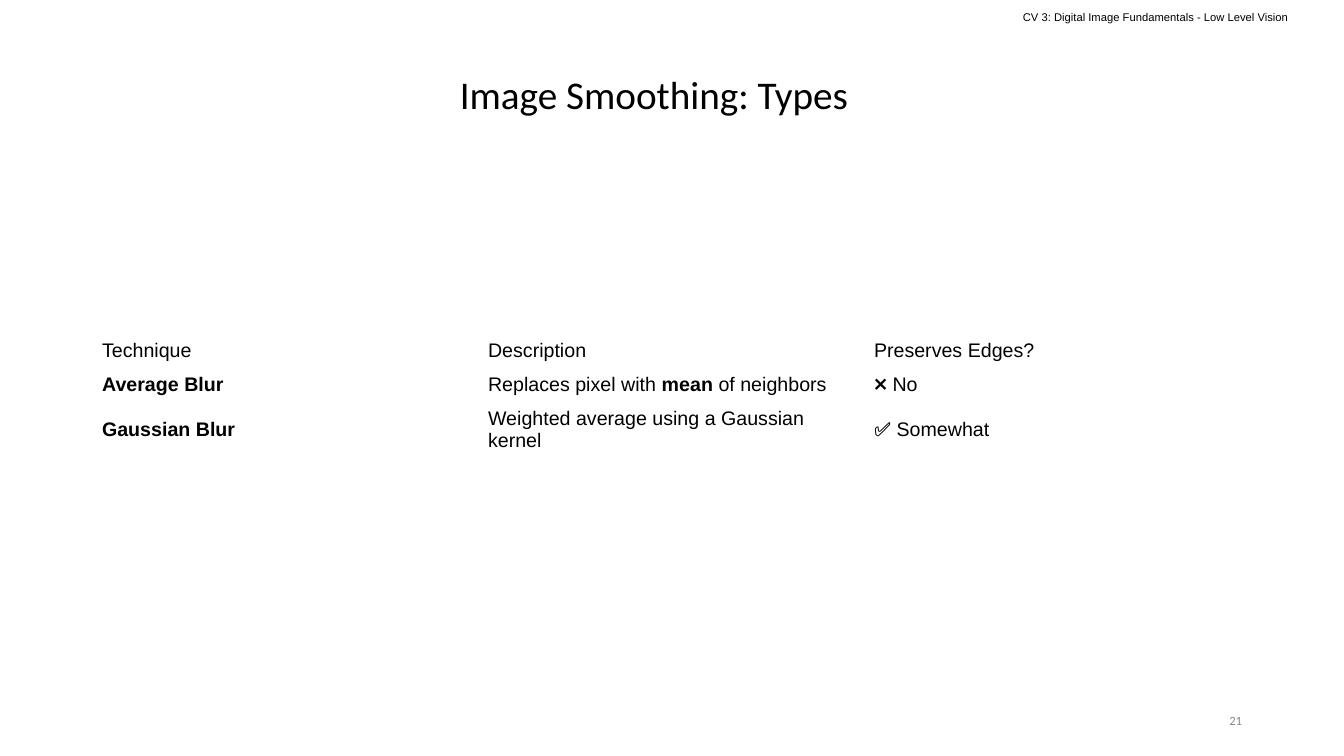
import pptx
import pptx.dml.color
import pptx.enum.text
import pptx.util

ALIGN = pptx.enum.text.PP_ALIGN
MIDDLE = pptx.enum.text.MSO_ANCHOR.MIDDLE
EMU_PER_PX = 914400 / 100.8

ROWS = [
    ["Technique", "Description", "Preserves Edges?"],
    ["**Average Blur**", "Replaces pixel with **mean** of neighbors", "❌ No"],
    ["**Gaussian Blur**", "Weighted average using a Gaussian kernel", "✅ Somewhat"],
    ["", "", ""],
    ["", "", ""],
]
ROW_HEIGHTS = [32, 32, 54, 37, 37]


def px(length):
    return pptx.util.Emu(round(length * EMU_PER_PX))


def colour(value):
    return pptx.dml.color.RGBColor.from_string(value)


class Page:
    heading_font = "Calibri"
    body_font = "Arial"
    ink = "000000"
    grey = "888888"

    def __init__(self, deck):
        self.slide = deck.slides.add_slide(deck.slide_layouts[5])

    def style(self, font, name, size, ink):
        font.name = name
        font.size = pptx.util.Pt(size)
        font.color.rgb = colour(ink)

    def title(self, text, left, top, width, height):
        box = self.slide.shapes.title
        box.left, box.top, box.width, box.height = map(px, (left, top, width, height))
        box.text_frame.text = text
        box.text_frame.vertical_anchor = MIDDLE
        para = box.text_frame.paragraphs[0]
        para.alignment = ALIGN.CENTER
        para.line_spacing = 0.9
        self.style(para.runs[0].font, self.heading_font, 28, self.ink)

    def label(self, text, left, top, width, height, name, size, ink,
              align=ALIGN.LEFT, inset=5):
        box = self.slide.shapes.add_textbox(*map(px, (left, top, width, height)))
        frame = box.text_frame
        frame.word_wrap = True
        frame.margin_top = frame.margin_bottom = px(inset)
        frame.vertical_anchor = MIDDLE
        frame.text = text
        para = frame.paragraphs[0]
        para.alignment = align
        self.style(para.runs[0].font, name, size, ink)

    def fill_cell(self, cell, text):
        """Write the text, setting the parts between ** marks in bold."""
        cell.fill.background()
        cell.vertical_anchor = MIDDLE
        para = cell.text_frame.paragraphs[0]
        self.style(para.font, self.body_font, 14, self.ink)
        for index, part in enumerate(text.split("**")):
            if part:
                span = para.add_run()
                span.text = part
                self.style(span.font, self.body_font, 14, self.ink)
                span.font.bold = index % 2 == 1

    def table(self, rows, heights, left, top, column_width):
        columns = len(rows[0])
        frame = self.slide.shapes.add_table(
            len(rows), columns, px(left), px(top),
            px(column_width * columns), px(sum(heights)))
        table = frame.table
        table.first_row = table.horz_banding = False
        for column in table.columns:
            column.width = px(column_width)
        for row, height, texts in zip(table.rows, heights, rows):
            row.height = px(height)
            for cell, text in zip(row.cells, texts):
                self.fill_cell(cell, text)


def main():
    deck = pptx.Presentation()
    deck.slide_width, deck.slide_height = px(1344), px(756)
    page = Page(deck)
    page.label("CV 3: Digital Image Fundamentals - Low Level Vision",
               1013, 0, 331, 34, page.body_font, 8, page.ink, inset=7)
    page.title("Image Smoothing: Types", 92, 40, 1124, 113)
    page.label("21", 950, 701, 302, 40, page.heading_font, 9, page.grey, ALIGN.RIGHT)
    page.table(ROWS, ROW_HEIGHTS, 92, 334, 386)
    deck.save("out.pptx")


if __name__ == "__main__":
    main()
